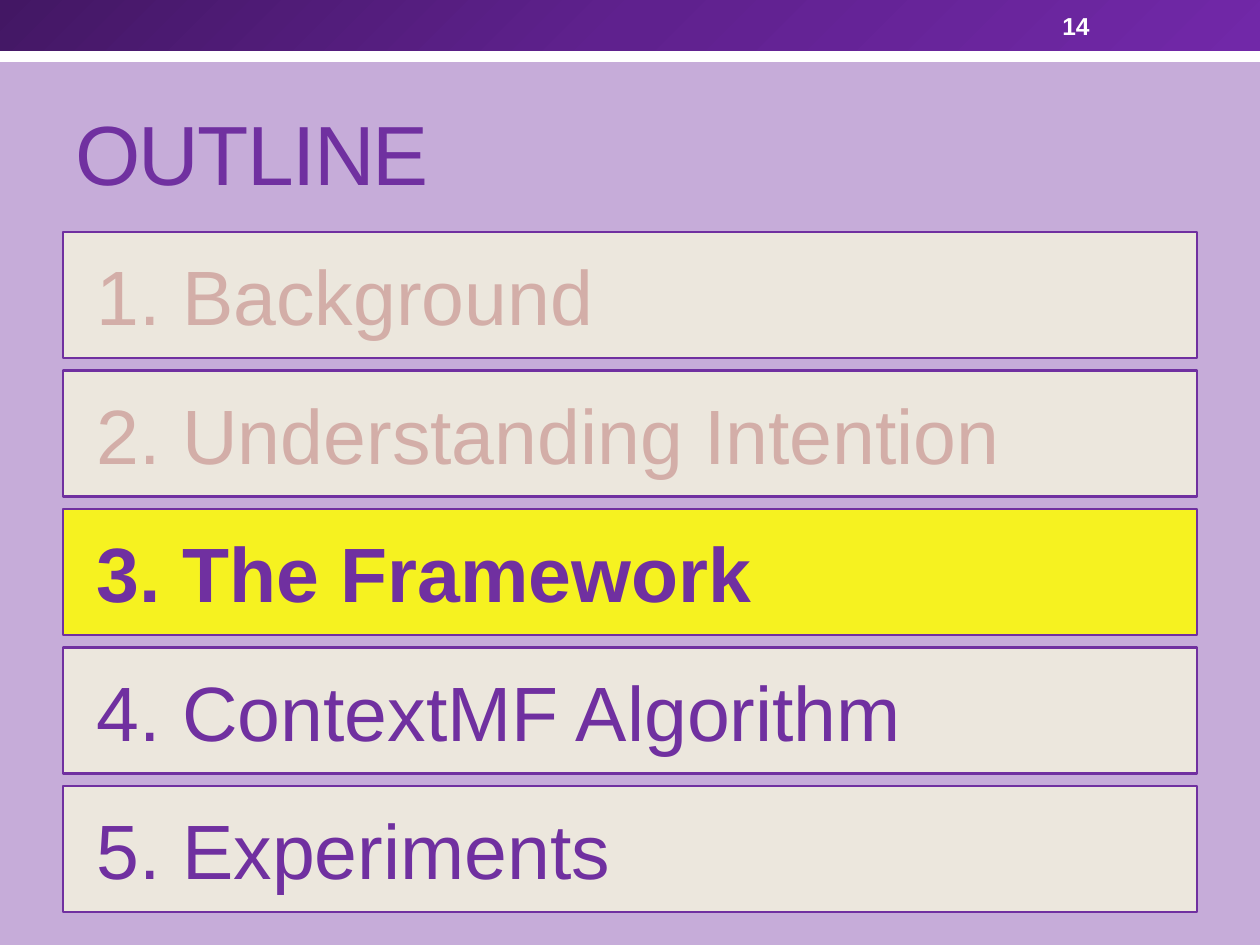
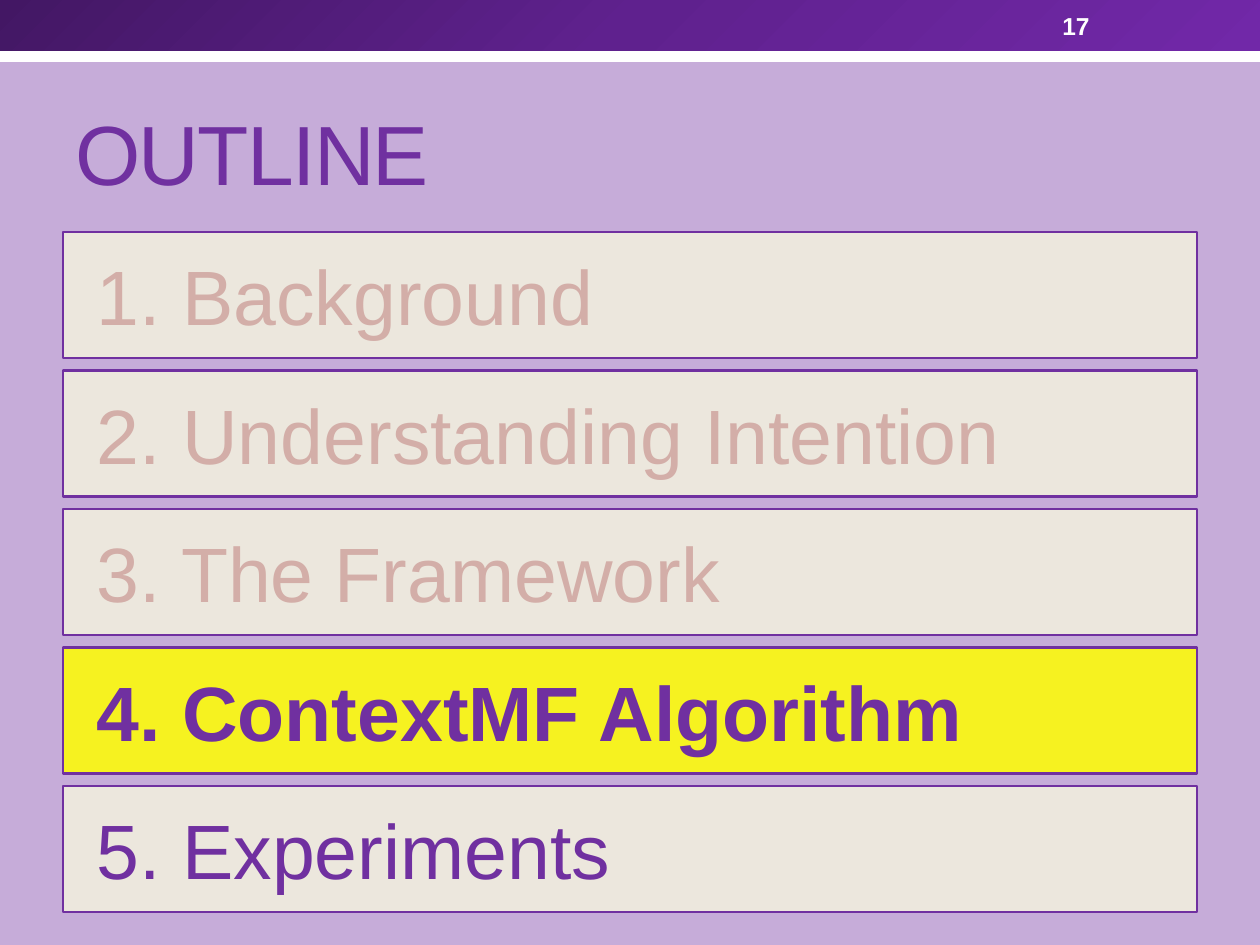
from copy import deepcopy

from lxml import etree
from pptx import Presentation
from pptx import util as u
from pptx.dml.color import RGBColor
from pptx.enum import shapes, text
from pptx.oxml import ns

TITLE = "OUTLINE"
TOPICS = [
    "1. Background",
    "2. Understanding Intention",
    "3. The Framework",
    "4. ContextMF Algorithm",
    "5. Experiments",
]
SLIDES = [("14", 2), ("17", 3)]

FONT = "Arial"
PURPLE = RGBColor(0x70, 0x30, 0xA0)
LILAC = RGBColor(0xC6, 0xAC, 0xD9)
CREAM = RGBColor(0xF3, 0xF2, 0xDE)
YELLOW = RGBColor(0xFF, 0xFF, 0x00)
ROSE = RGBColor(0xD3, 0xAE, 0xA8)
WHITE = RGBColor(0xFF, 0xFF, 0xFF)
BLEND = [
    (0, RGBColor(0x43, 0x17, 0x64)),
    (0.5, RGBColor(0x5F, 0x21, 0x8E)),
    (1, RGBColor(0x71, 0x28, 0xA8)),
]

PX = 914400 // 126
WIDE, HIGH = 1260, 945
LEFT, SPAN = 63, 1134
FIRST, LAST, TALL = 232, 786, 126
STEP = (LAST - FIRST) / (len(TOPICS) - 1)
INDENT = 34


def place(*box):
    return [round(n * PX) for n in box]


def write(shape, words, size, color, bold=False, anchor=text.MSO_ANCHOR.MIDDLE):
    frame = shape.text_frame
    frame.word_wrap = True
    frame.vertical_anchor = anchor
    para = frame.paragraphs[0]
    para.alignment = text.PP_ALIGN.LEFT
    run = para.add_run()
    run.text = words
    font = run.font
    font.name, font.size, font.bold = FONT, u.Pt(size), bold
    font.color.rgb = color
    return run


def add_rect(slide, *box):
    rect = slide.shapes.add_shape(shapes.MSO_SHAPE.RECTANGLE, *place(*box))
    rect.shadow.inherit = False
    rect.line.fill.background()
    return rect


def paint(rect, color, alpha=None):
    rect.fill.solid()
    rect.fill.fore_color.rgb = color
    if alpha:
        tone = rect.fill._xPr.find(".//" + ns.qn("a:srgbClr"))
        etree.SubElement(tone, ns.qn("a:alpha"), val=str(alpha * 1000))


def blend(rect):
    fill = rect.fill
    fill.gradient()
    fill.gradient_angle = 315
    stops = fill._xPr.find(".//" + ns.qn("a:gsLst"))
    stops.append(deepcopy(stops[0]))
    for stop, (pos, color) in zip(fill.gradient_stops, BLEND):
        stop.position = pos
        stop.color.rgb = color


def add_head(slide, number):
    paint(add_rect(slide, 0, 30, WIDE, 32), WHITE)
    blend(add_rect(slide, 0, 0, WIDE, 51))
    title = slide.shapes.add_textbox(*place(LEFT, 73, SPAN, 136))
    run = write(title, TITLE, 48, PURPLE, anchor=text.MSO_ANCHOR.BOTTOM)
    run.font._element.set("spc", "-100")
    page = slide.shapes.add_textbox(*place(1050, 3, 147, 45))
    write(page, number, 14, WHITE, True)


def add_topics(slide, current):
    for i, topic in enumerate(TOPICS):
        now = i == current
        bar = add_rect(slide, LEFT, FIRST + i * STEP, SPAN, TALL)
        paint(bar, YELLOW if now else CREAM, 85)
        bar.line.color.rgb = PURPLE
        bar.line.width = u.Pt(1.5)
        bar.text_frame.margin_left = INDENT * PX
        write(bar, topic, 44, ROSE if i < current else PURPLE, now)


def main():
    deck = Presentation()
    deck.slide_width, deck.slide_height = place(WIDE, HIGH)
    back = deck.slide_master.background.fill
    back.solid()
    back.fore_color.rgb = LILAC
    for number, current in SLIDES:
        slide = deck.slides.add_slide(deck.slide_layouts[6])
        add_head(slide, number)
        add_topics(slide, current)
    deck.save("out.pptx")


if __name__ == "__main__":
    main()
